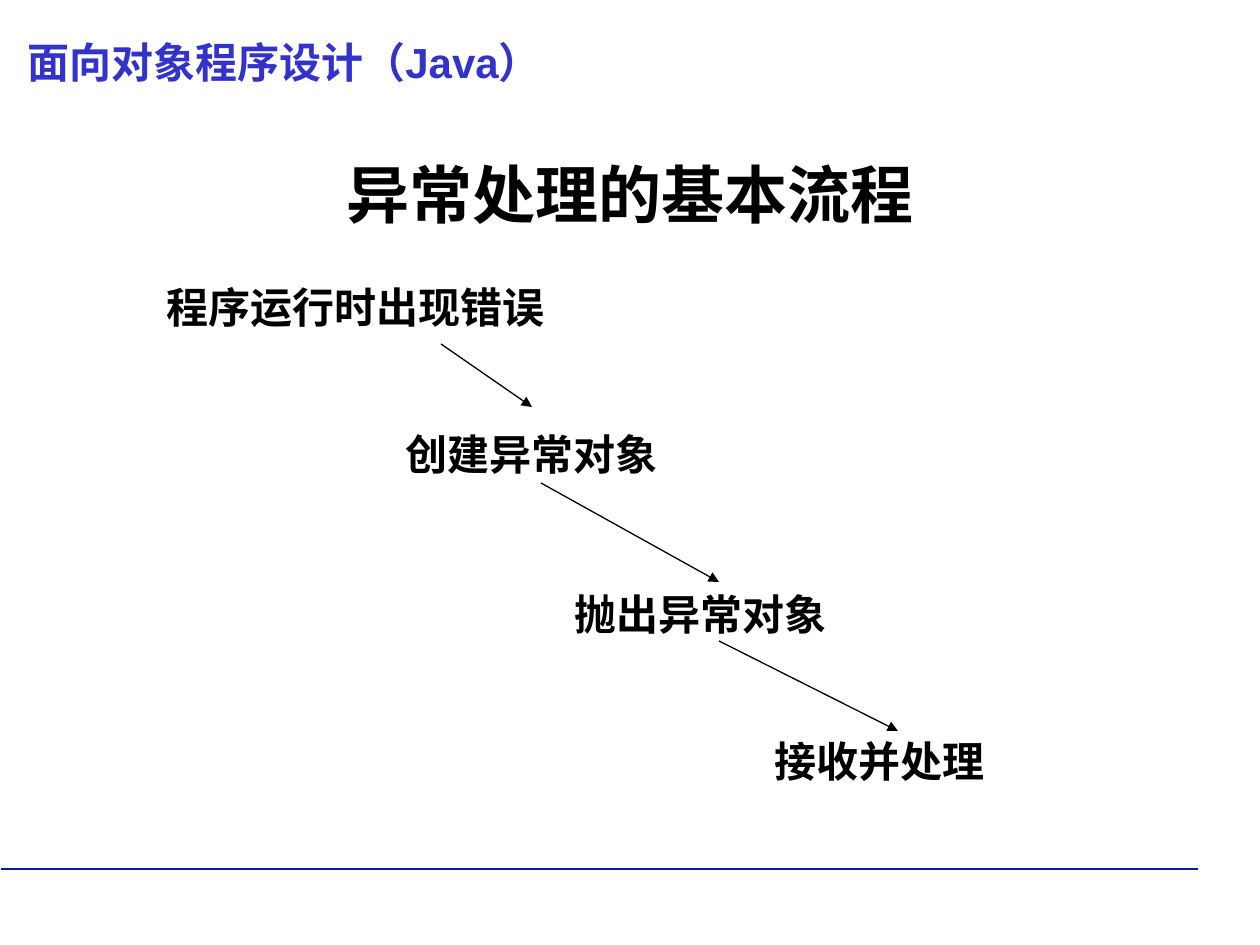
import pptx
import pptx.dml.color
import pptx.enum.shapes
import pptx.enum.text
import pptx.oxml.ns
import pptx.util
import lxml.etree

COLORS = {"header": "3333CC", "rule": "061AAA", "ink": "000000"}
EMU_PER_PX = 914400 / 126
ALIGN = pptx.enum.text.PP_ALIGN
ANCHOR = pptx.enum.text.MSO_ANCHOR


def px(length):
    return round(length * EMU_PER_PX)


def rgb(name):
    return pptx.dml.color.RGBColor.from_string(COLORS[name])


def write_text(frame, text, font="Times New Roman", size=24, color="ink",
               align=ALIGN.CENTER, spacing=1.0, before=0):
    paragraph = frame.paragraphs[0]
    paragraph.alignment = align
    paragraph.line_spacing = spacing
    paragraph.space_before = pptx.util.Pt(before)
    run = paragraph.add_run()
    run.text = text
    run.font.name = font
    run.font.size = pptx.util.Pt(size)
    run.font.bold = True
    run.font.color.rgb = rgb(color)


class SlideBuilder:
    """Draws styled text and lines on the current slide."""

    def __init__(self, slide):
        self.slide = slide

    def text(self, box, text, anchor=ANCHOR.TOP, **style):
        shape = self.slide.shapes.add_textbox(*map(px, box))
        shape.text_frame.word_wrap = True
        shape.text_frame.vertical_anchor = anchor
        write_text(shape.text_frame, text, **style)

    def line(self, ends, color="ink", width=0.75):
        connector = self.slide.shapes.add_connector(
            pptx.enum.shapes.MSO_CONNECTOR.STRAIGHT, *map(px, ends))
        connector.line.color.rgb = rgb(color)
        connector.line.width = pptx.util.Pt(width)
        properties = connector._element.spPr
        lxml.etree.SubElement(properties, pptx.oxml.ns.qn("a:effectLst"))
        return connector

    def arrow(self, ends):
        outline = self.line(ends).line._get_or_add_ln()
        lxml.etree.SubElement(outline, pptx.oxml.ns.qn("a:tailEnd"), type="triangle")


def main():
    presentation = pptx.Presentation()
    presentation.slide_width = px(1260)
    presentation.slide_height = px(945)
    builder = SlideBuilder(presentation.slides.add_slide(presentation.slide_layouts[6]))

    builder.line((1, 869, 1198, 869), color="rule", width=1)
    builder.text((15, 30, 1162, 63), "面向对象程序设计（Java）", font="Arial",
                 color="header", align=ALIGN.LEFT, before=15)
    builder.text((63, 145, 1134, 97), "异常处理的基本流程", anchor=ANCHOR.MIDDLE, size=36)

    builder.text((154, 265, 515, 73), "程序运行时出现错误",
                 align=ALIGN.LEFT, spacing=1.2, before=6)
    steps = [
        ("创建异常对象", 374, 407, 315),
        ("抛出异常对象", 543, 567, 315),
        ("接收并处理", 708, 714, 343),
    ]
    for label, left, top, width in steps:
        builder.text((left, top, width, 73), label, spacing=1.3, before=6)

    for ends in [(441, 344, 532, 407), (541, 483, 719, 582), (719, 641, 898, 731)]:
        builder.arrow(ends)

    presentation.save("out.pptx")


if __name__ == "__main__":
    main()
